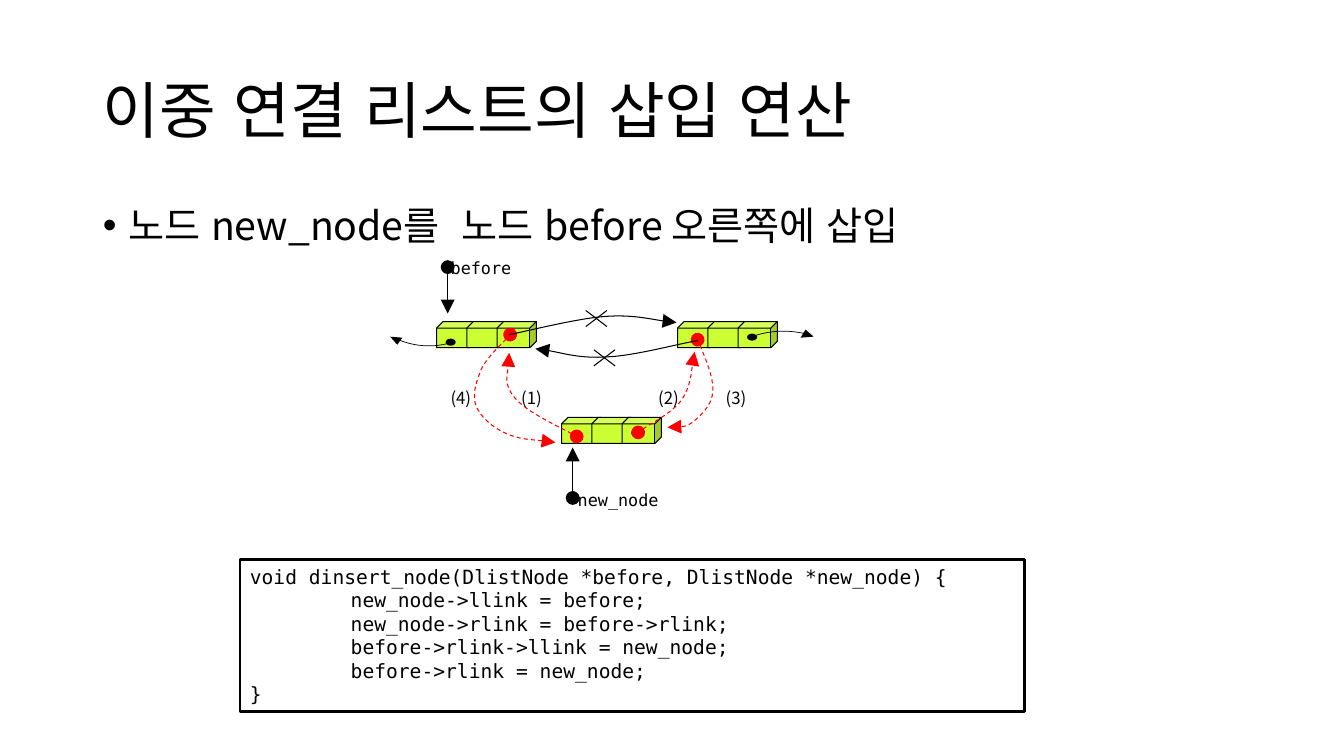
from lxml import etree
from pptx import Presentation
from pptx.dml.color import RGBColor
from pptx.enum.dml import MSO_LINE
from pptx.enum.lang import MSO_LANGUAGE_ID as LANG
from pptx.enum.shapes import MSO_CONNECTOR, MSO_SHAPE
from pptx.enum.text import MSO_ANCHOR, MSO_AUTO_SIZE, PP_ALIGN
from pptx.oxml.ns import qn
from pptx.util import Inches, Pt

BLACK = RGBColor(0x00, 0x00, 0x00)
RED = RGBColor(0xFF, 0x00, 0x00)
LIME = RGBColor(0xCC, 0xFF, 0x33)
SANS = "Noto Sans CJK KR"
MONO = "DejaVu Sans Mono"


def write(tf, text, size, font=SANS, align=PP_ALIGN.LEFT, anchor=MSO_ANCHOR.TOP,
          wrap=True, spacing=None, before=None):
    tf.word_wrap = wrap
    tf.auto_size = MSO_AUTO_SIZE.NONE
    tf.vertical_anchor = anchor
    for i, line in enumerate(text.split("\n")):
        p = tf.add_paragraph() if i else tf.paragraphs[0]
        p.alignment, p.line_spacing = align, spacing
        p._p.get_or_add_pPr().set("defTabSz", str(Inches(1)))
        if before is not None:
            p.space_before = Pt(before)
        r = p.add_run()
        r.text = line
        r.font.size, r.font.name = Pt(size), font
        r.font.color.rgb = BLACK
        r.font.language_id = LANG.KOREAN
        r.font._element.set("kern", "0")
        etree.SubElement(r.font._element, qn("a:ea"), typeface=font)


def place(sp, x, y, w, h):
    sp.left, sp.top, sp.width, sp.height = map(Inches, (x, y, w, h))


def paint(sp, fill=None, line=None, width=0.75):
    sp.shadow.inherit = False
    if fill is None:
        sp.fill.background()
    else:
        sp.fill.solid()
        sp.fill.fore_color.rgb = fill
    if line is None:
        sp.line.fill.background()
    else:
        sp.line.color.rgb = line
        sp.line.width = Pt(width)


def add_ends(sp, head=None, tail=None):
    ln = sp.line._get_or_add_ln()
    for tag, kind in (("a:headEnd", head), ("a:tailEnd", tail)):
        if kind:
            etree.SubElement(ln, qn(tag), type=kind, w="lg", len="lg")


def bend(sp):
    segments = list(sp._element.iter(qn("a:lnTo")))
    for i in range(0, len(segments), 3):
        curve = etree.Element(qn("a:cubicBezTo"))
        segments[i].addprevious(curve)
        for segment in segments[i:i + 3]:
            curve.append(segment[0])
            segment.getparent().remove(segment)


def add_title(slide, x, y, w, h):
    sp = slide.shapes.title
    place(sp, x, y, w, h)
    write(sp.text_frame, "이중 연결 리스트의 삽입 연산", 44,
          anchor=MSO_ANCHOR.MIDDLE, spacing=0.9)


def add_body(slide, x, y, w, h):
    sp = slide.placeholders[1]
    place(sp, x, y, w, h)
    write(sp.text_frame, "노드 new_node를\u00a0 노드 before 오른쪽에 삽입", 28,
          spacing=0.9, before=10)
    pPr = sp.text_frame.paragraphs[0]._p.get_or_add_pPr()
    pPr.set("marL", str(Inches(0.25)))
    pPr.set("indent", str(Inches(-0.25)))
    etree.SubElement(pPr, qn("a:buChar"), char="•")


def add_diagram(slide, x, y):
    shapes = slide.shapes.add_group_shape().shapes

    def shape(kind, left, top, w, h, **style):
        sp = shapes.add_shape(kind, *map(Inches, (x + left, y + top, w, h)))
        paint(sp, **style)
        return sp

    def outline(points, close=False, **style):
        pts = [(Inches(x + a), Inches(y + b)) for a, b in points]
        fb = shapes.build_freeform(*pts[0])
        fb.add_line_segments(pts[1:], close=close)
        sp = fb.convert_to_shape()
        paint(sp, **style)
        return sp

    def curved(points, **style):
        sp = outline(points, **style)
        bend(sp)
        return sp

    def straight(x1, y1, x2, y2, head=None, tail=None):
        cn = shapes.add_connector(MSO_CONNECTOR.STRAIGHT,
                                  *map(Inches, (x + x1, y + y1, x + x2, y + y2)))
        cn.line.color.rgb, cn.line.width = BLACK, Pt(0.75)
        add_ends(cn, head, tail)
        etree.SubElement(cn._element.spPr, qn("a:effectLst"))

    for left, top in ((2.92, 0.79), (0.53, 0.79), (1.77, 1.74)):
        for cell in range(3):
            shape(MSO_SHAPE.CUBE, left + 0.3 * cell, top, 0.39, 0.26, fill=LIME, line=BLACK)

    for left, top in ((3.61, 0.91), (0.62, 0.96), (2.46, 1.86), (1.86, 1.91)):
        shape(MSO_SHAPE.OVAL, left, top, 0.1, 0.07, fill=BLACK)

    outer_links = (
        ([(3.66, 0.94), (3.82, 0.88), (4.01, 0.87), (4.18, 0.91)],
         [(4.19, 0.87), (4.27, 0.94), (4.14, 0.95)]),
        ([(0.67, 1.0), (0.5, 1.05), (0.32, 1.04), (0.15, 0.97)],
         [(0.14, 1.02), (0.07, 0.94), (0.19, 0.95)]),
    )
    for curve, tip in outer_links:
        curved(curve, line=BLACK, width=0.5)
        outline(tip, close=True, fill=BLACK)

    for left, text in ((1.27, "(1)"), (2.63, "(2)"), (3.3, "(3)"), (0.57, "(4)")):
        sp = shapes.add_textbox(*map(Inches, (x + left, y + 1.4, 0.53, 0.31)))
        write(sp.text_frame, text, 12, wrap=False)

    new_links = (
        [(1.92, 1.93), (1.82, 1.87), (1.41, 1.68), (1.3, 1.54),
         (1.19, 1.4), (1.26, 1.19), (1.25, 1.1)],
        [(2.53, 1.89), (2.6, 1.83), (2.86, 1.7), (2.96, 1.57),
         (3.05, 1.43), (3.07, 1.19), (3.09, 1.09)],
        [(1.26, 0.92), (1.22, 0.97), (1.04, 1.14), (0.98, 1.25),
         (0.93, 1.37), (0.88, 1.51), (0.92, 1.62),
         (0.96, 1.73), (1.08, 1.84), (1.22, 1.9),
         (1.35, 1.96), (1.6, 1.97), (1.71, 1.99)],
        [(3.12, 0.97), (3.2, 1.16), (3.28, 1.36), (3.27, 1.49),
         (3.26, 1.63), (3.14, 1.73), (3.07, 1.79),
         (2.99, 1.84), (2.91, 1.84), (2.82, 1.84)],
    )
    for curve in new_links:
        sp = curved(curve, line=RED)
        sp.line.dash_style = MSO_LINE.DASH
        add_ends(sp, "oval", "triangle")

    cut_links = (
        [(1.25, 0.92), (1.41, 0.89), (1.92, 0.76), (2.2, 0.74),
         (2.47, 0.72), (2.76, 0.79), (2.91, 0.8)],
        [(3.12, 0.98), (2.97, 1.0), (2.5, 1.13), (2.23, 1.14),
         (1.96, 1.16), (1.66, 1.07), (1.51, 1.06)],
    )
    for curve in cut_links:
        add_ends(curved(curve, line=BLACK), tail="triangle")

    for left, top, w, text in ((0.55, 0.09, 1.01, "before "), (1.82, 2.39, 1.19, "new_node ")):
        sp = shape(MSO_SHAPE.CUBE, left, top, w, 0.27)
        write(sp.text_frame, text, 12, font=MONO, align=PP_ALIGN.CENTER,
              anchor=MSO_ANCHOR.MIDDLE)

    straight(1.88, 2.54, 1.88, 2.04, "oval", "triangle")
    straight(0.64, 0.25, 0.64, 0.71, "oval", "triangle")
    for left, top in ((2.01, 0.68), (2.09, 1.07)):
        straight(left, top, left + 0.21, top + 0.16)
        straight(left + 0.21, top, left, top + 0.16)


def add_code(slide, x, y, w, h):
    sp = slide.shapes.add_shape(MSO_SHAPE.RECTANGLE, *map(Inches, (x, y, w, h)))
    paint(sp, line=BLACK, width=2)
    code = "\n".join((
        "void dinsert_node(DlistNode *before, DlistNode *new_node) {",
        "\tnew_node->llink = before;",
        "\tnew_node->rlink = before->rlink;",
        "\tbefore->rlink->llink = new_node;",
        "\tbefore->rlink = new_node;",
        "}",
    ))
    write(sp.text_frame, code, 14, font=MONO, align=PP_ALIGN.JUSTIFY)


prs = Presentation()
prs.slide_width, prs.slide_height = Inches(13.33), Inches(7.5)
slide = prs.slides.add_slide(prs.slide_layouts[1])
add_title(slide, 0.92, 0.4, 11.5, 1.45)
add_body(slide, 0.92, 2, 11.5, 4.76)
add_diagram(slide, 3.8, 2.4)
add_code(slide, 2.38, 5.55, 7.78, 1.51)
prs.save("out.pptx")
